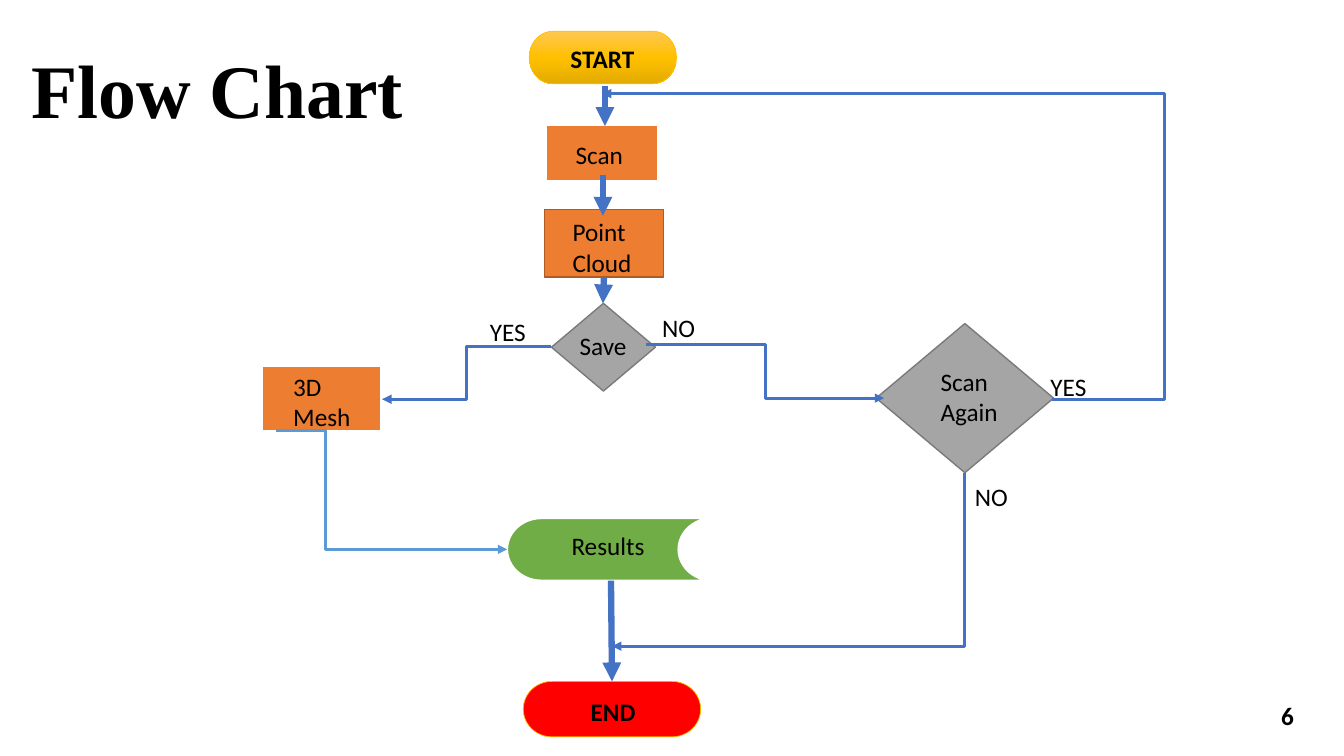
from copy import deepcopy

from lxml import etree
from pptx import Presentation
from pptx.dml.color import RGBColor
from pptx.enum.shapes import MSO_CONNECTOR, MSO_SHAPE
from pptx.enum.text import MSO_ANCHOR, MSO_AUTO_SIZE, PP_ALIGN
from pptx.oxml.ns import qn
from pptx.util import Emu, Pt

PX = 9144
BLACK = RGBColor(0x00, 0x00, 0x00)
WHITE = RGBColor(0xFF, 0xFF, 0xFF)
ORANGE = RGBColor(0xED, 0x7D, 0x31)
BROWN = RGBColor(0xAF, 0x5C, 0x24)
GREY = RGBColor(0xA5, 0xA5, 0xA5)
DARK_GREY = RGBColor(0x7A, 0x7A, 0x7A)
RED = RGBColor(0xFF, 0x00, 0x00)
GREEN = RGBColor(0x70, 0xAD, 0x47)
GOLD = RGBColor(0xFF, 0xC0, 0x00)
LIGHT_GOLD = RGBColor(0xFF, 0xC7, 0x52)
DARK_GOLD = RGBColor(0xE3, 0xAB, 0x00)
BLUE = RGBColor(0x44, 0x72, 0xC4)
LIGHT_BLUE = RGBColor(0x5B, 0x9B, 0xD5)

TERMINATOR = MSO_SHAPE.FLOWCHART_TERMINATOR
PROCESS = MSO_SHAPE.RECTANGLE
DECISION = MSO_SHAPE.FLOWCHART_DECISION
STORAGE = MSO_SHAPE.FLOWCHART_STORED_DATA
STRAIGHT = MSO_CONNECTOR.STRAIGHT
ELBOW = MSO_CONNECTOR.ELBOW
LEFT = PP_ALIGN.LEFT
CENTER = PP_ALIGN.CENTER
TOP = MSO_ANCHOR.TOP
GROW = MSO_AUTO_SIZE.SHAPE_TO_FIT_TEXT


class FlowSlide:
    """Draws flow chart elements on one slide, with lengths in px."""

    font = "Calibri"
    size = 18

    def __init__(self, slide):
        self.slide = slide
        self.shapes = slide.shapes

    def px(self, *lengths):
        return [Emu(round(length * PX)) for length in lengths]

    def set_text(self, holder, wording, font, size, bold, align):
        frame = holder.text_frame
        frame.word_wrap = True
        frame.auto_size = GROW
        frame.vertical_anchor = TOP
        paragraph = frame.paragraphs[0]
        paragraph.alignment = align
        run = paragraph.add_run()
        run.text = wording
        run.font.name = font
        run.font.size = Pt(size)
        run.font.bold = bold
        run.font.color.rgb = BLACK

    def title(self, wording, box):
        heading = self.shapes.title
        heading.left, heading.top, heading.width, heading.height = self.px(*box)
        self.set_text(heading, wording, "Times New Roman", 54, True, LEFT)

    def label(self, wording, box, bold=False, align=LEFT):
        holder = self.shapes.add_textbox(*self.px(*box))
        self.set_text(holder, wording, self.font, self.size, bold, align)

    def node(self, kind, box, fill, outline, weight):
        node = self.shapes.add_shape(kind, *self.px(*box))
        node.shadow.inherit = False
        node.fill.solid()
        node.fill.fore_color.rgb = fill
        node.line.color.rgb = outline
        node.line.width = Pt(weight)
        return node

    def shade(self, node, first, middle, last):
        node.fill.gradient()
        node.fill.gradient_angle = 270
        for stop, colour in zip(node.fill.gradient_stops, (first, last)):
            stop.color.rgb = colour
        stops = node._element.spPr.find(".//" + qn("a:gsLst"))
        between = deepcopy(stops[0])
        between.set("pos", "50000")
        between.find(qn("a:srgbClr")).set("val", str(middle))
        stops.insert(1, between)

    def arrow(self, kind, start, end, colour=BLUE, weight=2.25, bend=None):
        link = self.shapes.add_connector(kind, *self.px(*start, *end))
        link.line.color.rgb = colour
        link.line.width = Pt(weight)
        properties = link._element.spPr
        outline = properties.find(qn("a:ln"))
        etree.SubElement(outline, qn("a:tailEnd"), type="triangle")
        etree.SubElement(properties, qn("a:effectLst"))
        if bend is not None:
            adjustments = properties.find(".//" + qn("a:avLst"))
            etree.SubElement(adjustments, qn("a:gd"), name="adj1",
                             fmla=f"val {round(bend * 100000)}")
        return link

    def corner(self, start, end):
        middle_x, middle_y = ((a + b) / 2 for a, b in zip(start, end))
        half_w = abs(end[1] - start[1]) / 2
        half_h = abs(end[0] - start[0]) / 2
        link = self.arrow(ELBOW, (middle_x - half_w, middle_y - half_h),
                          (middle_x + half_w, middle_y + half_h))
        properties = link._element.spPr
        properties.find(qn("a:xfrm")).set("rot", "5400000")
        properties.find(qn("a:prstGeom")).set("prst", "bentConnector2")


def main():
    deck = Presentation()
    deck.slide_width, deck.slide_height = Emu(1333 * PX), Emu(750 * PX)
    chart = FlowSlide(deck.slides.add_slide(deck.slide_layouts[5]))
    chart.title("Flow Chart", (21, 38, 407, 101))

    start = chart.node(TERMINATOR, (525, 31, 146, 52), GOLD, GOLD, 0.5)
    chart.shade(start, LIGHT_GOLD, GOLD, DARK_GOLD)
    steps = [
        (PROCESS, (541, 124, 112, 56), ORANGE, WHITE, 1.5),
        (PROCESS, (260, 363, 118, 65), ORANGE, WHITE, 1.5),
        (PROCESS, (540, 208, 118, 67), ORANGE, BROWN, 1),
        (DECISION, (547, 301, 103, 87), GREY, DARK_GREY, 1),
        (DECISION, (869, 321, 176, 148), GREY, DARK_GREY, 1),
        (TERMINATOR, (519, 676, 176, 55), RED, GOLD, 0.5),
        (STORAGE, (503, 514, 204, 62), GREEN, WHITE, 1.5),
    ]
    for step in steps:
        chart.node(*step)

    downward = [
        ((606, 576), (607, 676)),
        ((599, 275), (598, 301)),
        ((598, 174), (598, 214)),
        ((600, 85), (600, 125)),
    ]
    for top, bottom in downward:
        chart.arrow(STRAIGHT, top, bottom, weight=4.5)

    branches = [
        ((547, 344), (379, 396), BLUE, 0.5),
        ((641, 342), (877, 395), BLUE, 0.5),
        ((1043, 396), (597, 93), BLUE, -0.252),
        ((274, 427), (503, 545), LIGHT_BLUE, 0.212),
    ]
    for origin, target, colour, bend in branches:
        chart.arrow(ELBOW, origin, target, colour, bend=bend)
    chart.corner((957, 469), (607, 641))

    labels = [
        ("Scan", (561, 133, 92, 40)),
        ("Point Cloud", (558, 210, 92, 71)),
        ("Save", (565, 323, 92, 40)),
        ("3D Mesh", (281, 363, 92, 71)),
        ("Results", (557, 521, 108, 40)),
        ("Scan Again", (923, 358, 92, 71)),
        ("YES", (476, 309, 64, 40)),
        ("YES", (1032, 363, 64, 40)),
        ("NO", (957, 473, 64, 40)),
        ("NO", (647, 305, 64, 40)),
    ]
    for wording, box in labels:
        chart.label(wording, box)
    chart.label("START", (535, 38, 125, 40), True, CENTER)
    chart.label("END", (576, 686, 92, 40), True)
    chart.label("6", (1242, 690, 70, 40), True, CENTER)

    deck.save("out.pptx")


if __name__ == "__main__":
    main()
